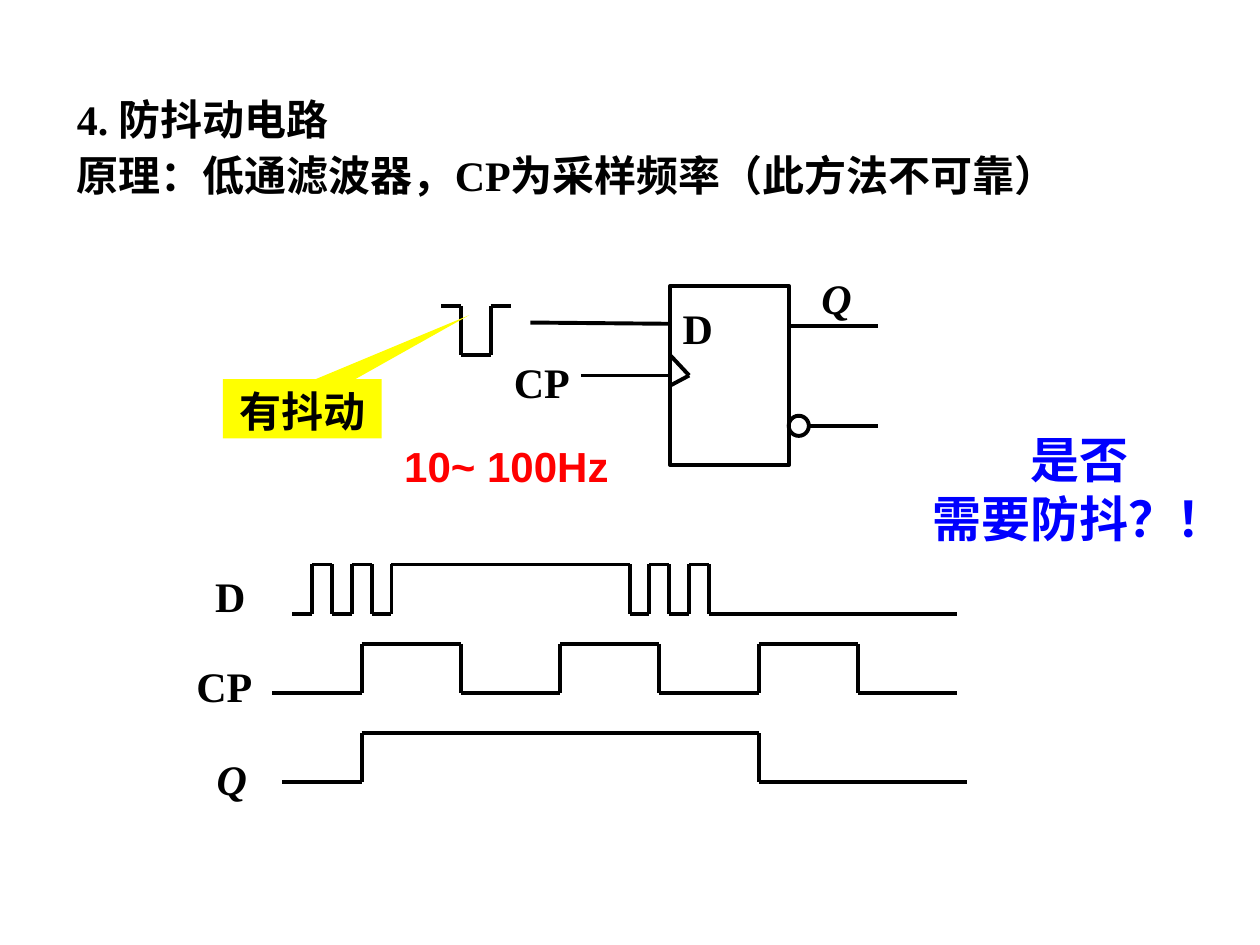
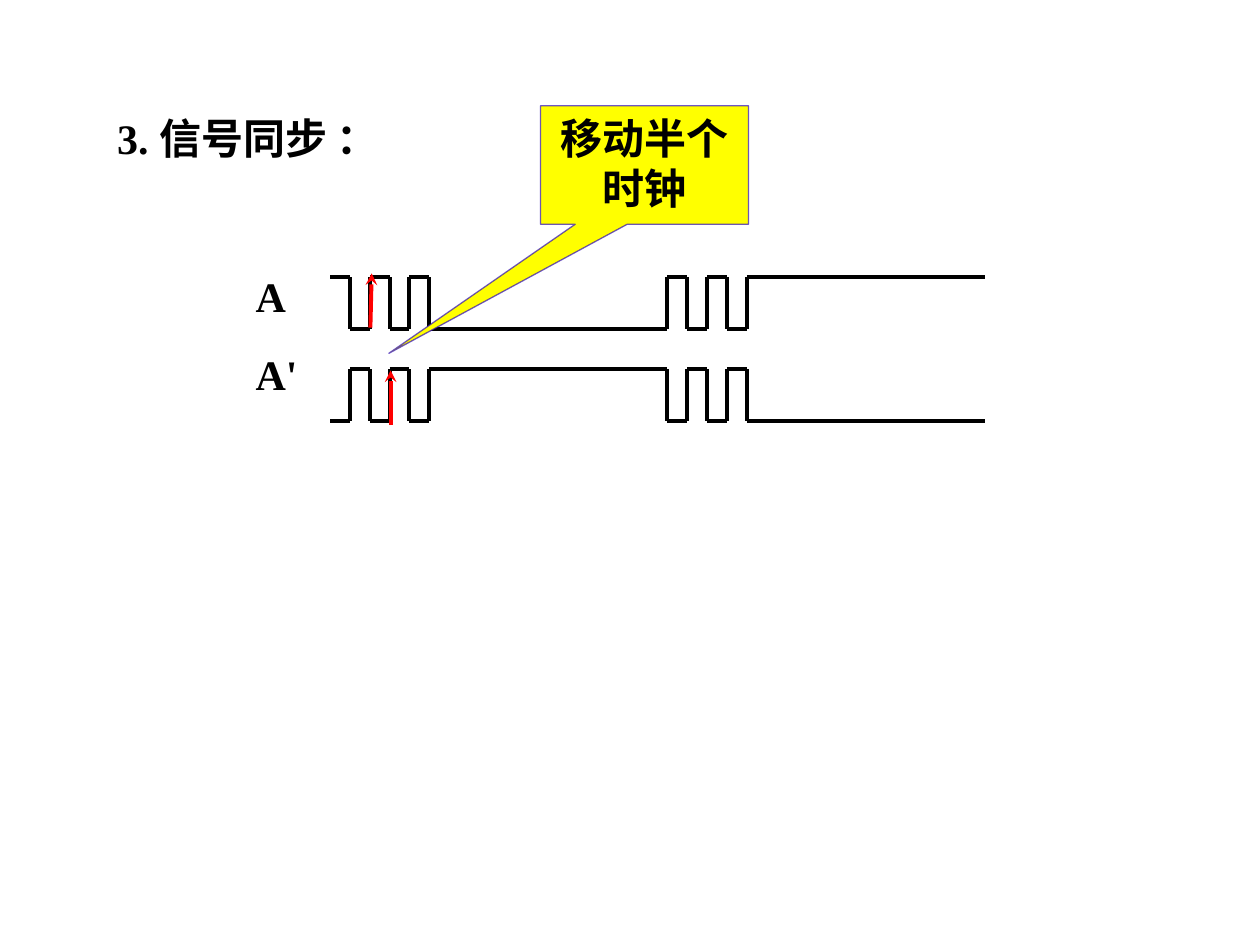
from lxml import etree
from pptx import Presentation, util as u
from pptx.dml.color import RGBColor
from pptx.enum import shapes, text
from pptx.oxml import ns

COLORS = {"ink": "000000", "red": "FF0000", "blue": "0000FF",
          "yellow": "FFFF00", "violet": "2806BA"}
SERIF, SANS, CJK = "Times New Roman", "Arial", "Noto Sans CJK SC"
WIDTH, HEIGHT = 10, 7.5
STEP = 4 / 25.4
BURSTS = [1, 2, 3, 4, 5, 17, 18, 19, 20, 21]

DEBOUNCE = {
    "title": (["4. 防抖动电路", "原理：低通滤波器，CP为采样频率（此方法不可靠）"],
              (0.51, 0.65, 8.04, 1.44), 32),
    "callout": ("有抖动", (1.77, 3.01, 1.26, 0.47), (1.05, -1.58), CJK, None),
    "labels": [
        ("D", (5.32, 2.35, 0.39, 0.5), {}),
        ("CP", (3.98, 2.78, 0.94, 0.5), {}),
        ("Q", (6.42, 2.11, 0.39, 0.5), {"italic": True}),
        ("10~ 100Hz", (3.11, 3.45, 2.12, 0.5), {"font": SANS, "color": "red"}),
        ("D", (1.61, 4.48, 0.39, 0.5), {}),
        ("CP", (1.46, 5.19, 0.94, 0.5), {}),
        ("Q", (1.62, 5.93, 0.39, 0.5), {"italic": True}),
        (["是否", "需要防抖？！"], (7.13, 3.36, 2.87, 1.04),
         {"font": SANS, "color": "blue", "size": 28, "align": "CENTER"}),
    ],
    "origin": 2.32,
    "swing": 0.39,
    "waves": [
        (2.43, True, [7.5, 8.5, 10, 11]),
        (4.48, False, [0, *BURSTS, 33.5]),
        (5.11, False, [-1, *[3.5 + 5 * edge for edge in range(7)]]),
        (5.82, False, [-0.5, 3.5, 23.5, 34]),
    ],
}
FLIP_FLOP = (5.32, 2.27, 0.94, 1.42)
INVERTER = (6.26, 3.3, 0.16, 0.16)
WIRES = [
    (6.26, 2.59, 6.97, 2.59), (6.42, 3.38, 6.97, 3.38),
    (4.21, 2.56, 5.31, 2.57), (4.61, 2.98, 5.32, 2.98),
    (5.32, 2.82, 5.47, 2.98), (5.47, 2.98, 5.32, 3.06),
]

SYNC = {
    "title": (["3. 信号同步 ："], (0.83, 0.84, 4.17, 0.5), None),
    "callout": ("移动半个时钟", (4.29, 0.84, 1.65, 0.94), (-1.23, 1.59), SANS, "violet"),
    "labels": [
        ("A", (1.93, 2.1, 0.47, 0.5), {}),
        ("A'", (1.93, 2.72, 0.62, 0.5), {}),
    ],
    "origin": 2.62,
    "swing": 0.41,
    "waves": [
        (2.2, True, [0, *BURSTS, 33]),
        (2.93, False, [0, *BURSTS, 33]),
    ],
}
RISING_EDGES = [(2.94, 2.6, 2.95, 2.17), (3.1, 3.37, 3.1, 2.94)]


def inches(values):
    return [u.Inches(value) for value in values]


def rgb(name):
    return RGBColor.from_string(COLORS[name])


def write(shape, lines, font=SERIF, color="ink", size=24, italic=False,
          align="LEFT", leading=None):
    frame = shape.text_frame
    frame.word_wrap = True
    frame.auto_size = text.MSO_AUTO_SIZE.NONE
    frame.vertical_anchor = text.MSO_ANCHOR.TOP
    for index, line in enumerate([lines] if isinstance(lines, str) else lines):
        para = frame.add_paragraph() if index else frame.paragraphs[0]
        para.alignment = text.PP_ALIGN[align]
        if leading:
            para.line_spacing = u.Pt(leading)
        span = para.add_run()
        span.text = line
        span.font.name, span.font.size = font, u.Pt(size)
        span.font.bold, span.font.italic = True, italic
        span.font.color.rgb = rgb(color)
        latin = span.font._element.find(ns.qn("a:latin"))
        east = etree.Element(ns.qn("a:ea"), typeface=CJK)
        latin.addnext(east)


def add_line(page, ends, color="ink", arrow=False):
    line = page.shapes.add_connector(shapes.MSO_CONNECTOR.STRAIGHT, *inches(ends))
    line.line.color.rgb = rgb(color)
    line.line.width = u.Pt(2.25)
    if arrow:
        etree.SubElement(line.line._get_or_add_ln(), ns.qn("a:tailEnd"), type="stealth")
    etree.SubElement(line._element.spPr, ns.qn("a:effectLst"))


def add_wave(page, origin, swing, top, high, columns):
    edges = [origin + column * STEP for column in columns]
    for index, (left, right) in enumerate(zip(edges, edges[1:])):
        level = top if high else top + swing
        add_line(page, (left, level, right, level))
        if index < len(edges) - 2:
            add_line(page, (right, top, right, top + swing))
        high = not high


def add_outline(page, kind, place, width):
    shape = page.shapes.add_shape(kind, *inches(place))
    shape.shadow.inherit = False
    shape.fill.background()
    shape.line.color.rgb = rgb("ink")
    shape.line.width = u.Pt(width)


def add_callout(page, words, place, tip, font, border):
    shape = page.shapes.add_shape(
        shapes.MSO_SHAPE.RECTANGULAR_CALLOUT, *inches(place))
    shape.shadow.inherit = False
    shape.adjustments[0], shape.adjustments[1] = tip
    shape.fill.solid()
    shape.fill.fore_color.rgb = rgb("yellow")
    if border:
        shape.line.color.rgb = rgb(border)
        shape.line.width = u.Pt(0.75)
        tint = shape.line._get_or_add_ln().find(".//" + ns.qn("a:srgbClr"))
        etree.SubElement(tint, ns.qn("a:alpha"), val="68000")
    else:
        shape.line.fill.background()
    write(shape, words, font=font, align="CENTER")


def add_page(deck, content):
    page = deck.slides.add_slide(deck.slide_layouts[5])
    lines, place, leading = content["title"]
    title = page.shapes.title
    title.left, title.top, title.width, title.height = inches(place)
    write(title, lines, leading=leading)
    for wave in content["waves"]:
        add_wave(page, content["origin"], content["swing"], *wave)
    for words, place, style in content["labels"]:
        write(page.shapes.add_textbox(*inches(place)), words, **style)
    return page


def main():
    deck = Presentation()
    deck.slide_width, deck.slide_height = inches((WIDTH, HEIGHT))

    page = add_page(deck, DEBOUNCE)
    add_callout(page, *DEBOUNCE["callout"])
    add_outline(page, shapes.MSO_SHAPE.RECTANGLE, FLIP_FLOP, 2.5)
    add_outline(page, shapes.MSO_SHAPE.OVAL, INVERTER, 2.25)
    for wire in WIRES:
        add_line(page, wire)

    page = add_page(deck, SYNC)
    for edge in RISING_EDGES:
        add_line(page, edge, "red", arrow=True)
    add_callout(page, *SYNC["callout"])

    deck.save("out.pptx")


if __name__ == "__main__":
    main()
